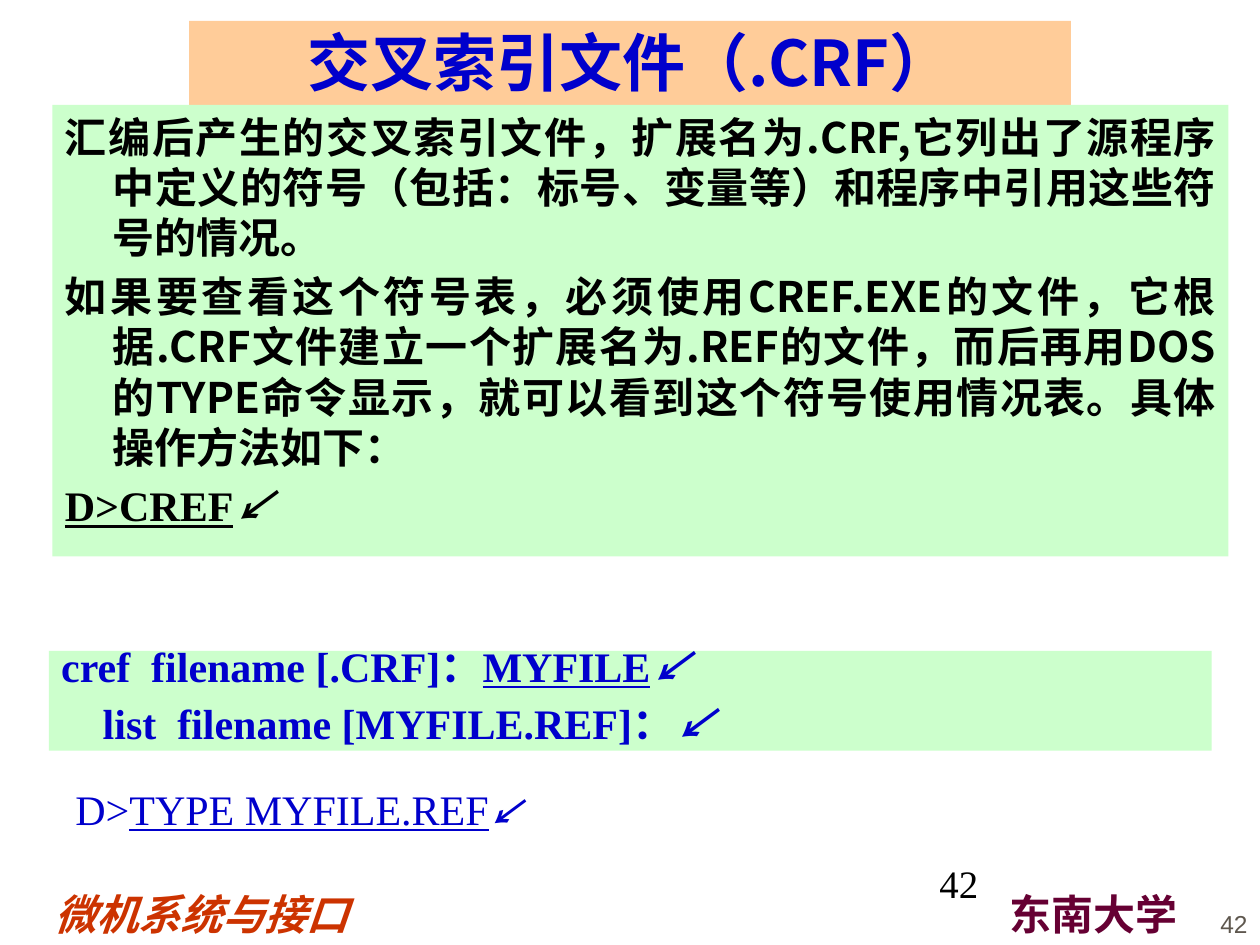
from lxml.etree import SubElement
from pptx import Presentation
from pptx.dml.color import RGBColor
from pptx.enum.shapes import MSO_SHAPE as Preset
from pptx.enum.text import MSO_ANCHOR as Anchor, PP_ALIGN as Align
from pptx.oxml.ns import qn
from pptx.util import Inches, Pt

COLUMNS, ROWS = 120, 90
COLORS = {
    "title_fill": "FFCC99", "panel": "CCFFCC", "blue": "0000CC", "black": "000000",
    "course": "CC3300", "school": "660033", "page": "5E574E",
}
CJK, SERIF, SANS = "Noto Sans CJK SC", "Times New Roman", "Arial"
LINE = Pt(28.8)
ARROW = ("↙", {"name": CJK, "bold": True, "italic": True})

deck = Presentation()
deck.slide_width, deck.slide_height = Inches(10), Inches(7.5)


def place(box):
    """Turn (column, row, columns, rows) into slide lengths."""
    cell_w, cell_h = deck.slide_width / COLUMNS, deck.slide_height / ROWS
    left, top, width, height = box
    return [int(n) for n in (left * cell_w, top * cell_h, width * cell_w, height * cell_h)]


def fill(shape, color):
    shape.fill.solid()
    shape.fill.fore_color.rgb = RGBColor.from_string(COLORS[color])


def add_panel(slide, box):
    panel = slide.shapes.add_shape(Preset.RECTANGLE, *place(box))
    panel.shadow.inherit = False
    panel.line.fill.background()
    fill(panel, "panel")
    return panel


def write(shape, paragraphs, look, layout, anchor=Anchor.TOP, hanging=0, lefts=()):
    """Fill a shape; each paragraph is a list of (text, format changes)."""
    frame = shape.text_frame
    frame.word_wrap, frame.vertical_anchor = True, anchor
    for index, runs in enumerate(paragraphs):
        paragraph = frame.add_paragraph() if index else frame.paragraphs[0]
        for key, value in layout.items():
            if index or key != "space_before":
                setattr(paragraph, key, value)
        properties = paragraph._p.get_or_add_pPr()
        properties.set("hangingPunct", "0")
        margin = lefts[index] if lefts else hanging
        if margin:
            properties.set("marL", str(Inches(margin)))
            properties.set("indent", str(-Inches(hanging)))
        for text, changes in runs:
            add_run(paragraph, text, {**look, **changes})


def add_run(paragraph, text, look):
    run = paragraph.add_run()
    run.text = text
    for key, value in look.items():
        if key == "color":
            run.font.color.rgb = RGBColor.from_string(COLORS[value])
        else:
            setattr(run.font, key, value)
    SubElement(run.font._element, qn("a:ea")).set("typeface", CJK)


def add_title(slide, box):
    title = slide.shapes.title
    title.left, title.top, title.width, title.height = place(box)
    fill(title, "title_fill")
    write(title, [[("交叉索引文件（.CRF）", {})]],
          {"size": Pt(36), "name": CJK, "color": "blue", "bold": True},
          {"alignment": Align.CENTER, "line_spacing": Pt(43)}, Anchor.BOTTOM)


def add_explanation(slide, box):
    paragraphs = [
        [("汇编后产生的交叉索引文件，扩展名为.CRF,它列出了源程序中定义的符号"
          "（包括：标号、变量等）和程序中引用这些符号的情况。", {})],
        [("如果要查看这个符号表，必须使用CREF.EXE的文件，它根据.CRF文件建立一个扩展名为"
          ".REF的文件，而后再用DOS的TYPE命令显示，就可以看到这个符号使用情况表。"
          "具体操作方法如下：", {})],
        [("D>CREF", {"name": SERIF, "underline": True}), ARROW],
    ]
    write(add_panel(slide, box), paragraphs,
          {"size": Pt(24), "name": CJK, "color": "black", "bold": True},
          {"alignment": Align.JUSTIFY, "space_before": Pt(4.5), "line_spacing": LINE},
          hanging=0.38)


def add_dialogue(slide, box):
    paragraphs = [
        [("cref  filename [.CRF]：", {}), ("MYFILE", {"underline": True}), ARROW],
        [("list  filename [MYFILE.REF]：", {}), ARROW],
    ]
    panel = add_panel(slide, box)
    panel.text_frame.margin_top = Inches(0.07)
    write(panel, paragraphs,
          {"size": Pt(24), "name": SERIF, "color": "blue", "bold": True},
          {"alignment": Align.JUSTIFY, "space_before": Pt(15), "line_spacing": Pt(17.6)},
          lefts=(0, 0.33))


def add_type_command(slide, box):
    arrow, look = ARROW
    command = [("D>", {}), ("TYPE MYFILE.REF", {"underline": True}),
               (arrow, {**look, "size": Pt(20)})]
    write(slide.shapes.add_textbox(*place(box)), [command],
          {"size": Pt(24), "name": SERIF, "color": "blue"}, {"line_spacing": LINE})


def add_footer(slide, box):
    left, top, _, height = box
    labels = [
        ("微机系统与接口", 4, 32, {"color": "course", "italic": True}),
        ("东南大学", 95, 19, {"color": "school"}),
    ]
    for text, column, width, changes in labels:
        label = slide.shapes.add_textbox(*place((left + column, top, width, height)))
        write(label, [[(text, changes)]], {"size": Pt(24), "name": SANS, "bold": True},
              {"line_spacing": LINE})
    corner = slide.shapes.add_textbox(*place((left + 108, top, 12, height)))
    write(corner, [[("42", {})]], {"size": Pt(14), "name": SANS, "color": "page"},
          {"alignment": Align.RIGHT}, Anchor.BOTTOM)
    number = slide.shapes.add_textbox(*place((left + 88.3, top - 2.25, 25, height)))
    write(number, [[("42", {})]], {"size": Pt(22.2), "name": SERIF, "color": "black"},
          {"line_spacing": 0.9})


def main():
    slide = deck.slides.add_slide(deck.slide_layouts[5])
    add_footer(slide, (0, 84, COLUMNS, 6))
    add_title(slide, (18, 2, 84, 8))
    add_explanation(slide, (5, 10, 112, 43))
    add_dialogue(slide, (4.65, 62, 110.75, 9.5))
    add_type_command(slide, (6, 74, 92, 6))
    deck.save("out.pptx")


if __name__ == "__main__":
    main()
